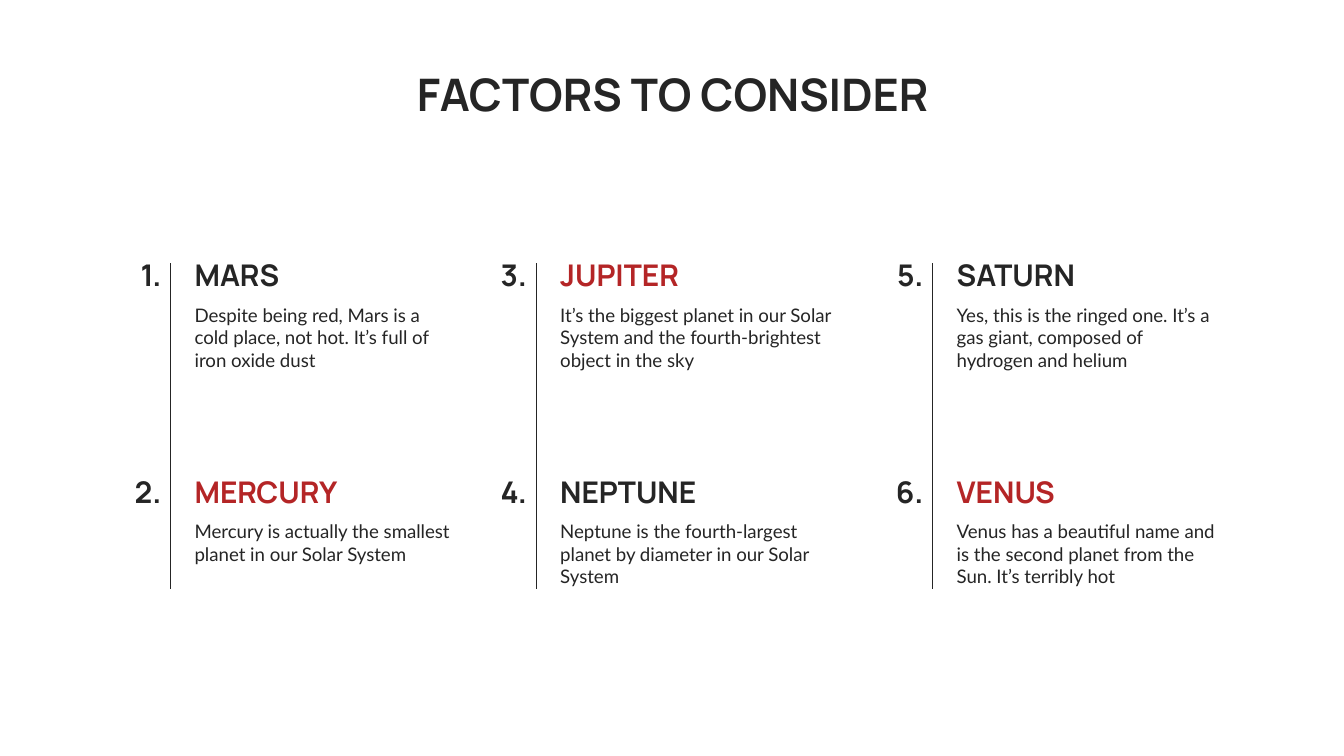
"""Build a slide that lists six numbered planets in three ruled columns."""
import lxml.etree
import pptx
import pptx.dml.color
import pptx.enum.shapes
import pptx.enum.text
import pptx.oxml.ns
import pptx.util

Inches = pptx.util.Inches
Align = pptx.enum.text.PP_ALIGN
Anchor = pptx.enum.text.MSO_ANCHOR

INK = pptx.dml.color.RGBColor(0x25, 0x25, 0x25)
RED = pptx.dml.color.RGBColor(0xB4, 0x25, 0x26)
WHITE = pptx.dml.color.RGBColor(0xFF, 0xFF, 0xFF)

ROW_TOPS = (1.86, 3.47)
COLUMNS = (
    (1.35, 2.13, (
        ("MARS", INK, "Despite being red, Mars is a cold place, not hot. It’s full of iron oxide dust"),
        ("MERCURY", RED, "Mercury is actually the smallest planet in our Solar System"),
    )),
    (4.07, 2.29, (
        ("JUPITER", RED, "It’s the biggest planet in our Solar System and the fourth-brightest object in the sky"),
        ("NEPTUNE", INK, "Neptune is the fourth-largest planet by diameter in our Solar System"),
    )),
    (7.02, 2.13, (
        ("SATURN", INK, "Yes, this is the ringed one. It’s a gas giant, composed of hydrogen and helium"),
        ("VENUS", RED, "Venus has a beautiful name and is the second planet from the Sun. It’s terribly hot"),
    )),
)


def add_text(page, text, left, top, width, height, *, size=16, font="Manrope",
             color=INK, bold=True, align=Align.LEFT, anchor=Anchor.BOTTOM):
    box = page.shapes.add_textbox(Inches(left), Inches(top), Inches(width), Inches(height))
    frame = box.text_frame
    frame.word_wrap = True
    frame.vertical_anchor = anchor
    frame.margin_left = frame.margin_right = Inches(0.1)
    frame.margin_top = frame.margin_bottom = Inches(0.1)
    para = frame.paragraphs[0]
    para.alignment = align
    span = para.add_run()
    span.text = text
    span.font.name = font
    span.font.size = pptx.util.Pt(size)
    span.font.bold = bold
    span.font.color.rgb = color


def add_rule(page, x, top, bottom):
    rule = page.shapes.add_connector(
        pptx.enum.shapes.MSO_CONNECTOR.STRAIGHT,
        Inches(x), Inches(top), Inches(x), Inches(bottom))
    rule.line.color.rgb = INK
    rule.line.width = pptx.util.Pt(0.75)
    lxml.etree.SubElement(rule._element.spPr, pptx.oxml.ns.qn("a:effectLst"))


def add_planet(page, number, left, top, body_width, name, color, description):
    add_text(page, f"{number}.", left - 0.55, top, 0.5, 0.42, align=Align.RIGHT)
    add_text(page, name, left, top, 2.13, 0.42, color=color)
    add_text(page, description, left, top + 0.3, body_width, 0.7,
             size=10, font="Lato", bold=False, anchor=Anchor.TOP)


def main():
    deck = pptx.Presentation()
    deck.slide_width = Inches(10)
    deck.slide_height = deck.slide_width * 9 // 16
    page = deck.slides.add_slide(deck.slide_layouts[6])
    page.background.fill.solid()
    page.background.fill.fore_color.rgb = WHITE

    add_text(page, "FACTORS TO CONSIDER", 2.39, 0.3, 5.23, 0.7, size=24, align=Align.CENTER)
    number = 1
    for left, body_width, planets in COLUMNS:
        add_rule(page, left - 0.08, 1.96, 4.38)
        for top, planet in zip(ROW_TOPS, planets):
            add_planet(page, number, left, top, body_width, *planet)
            number += 1
    deck.save("out.pptx")


if __name__ == "__main__":
    main()
